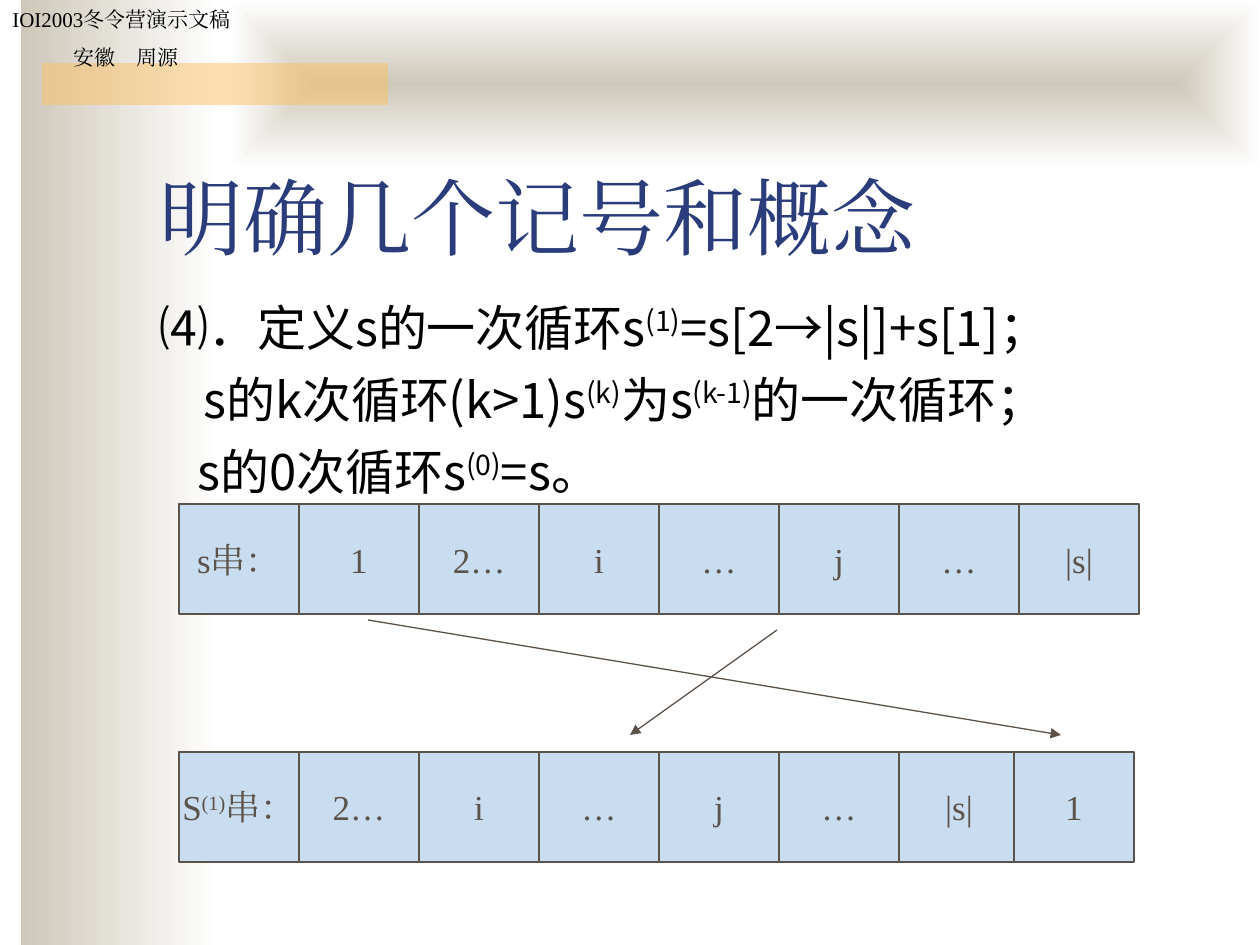
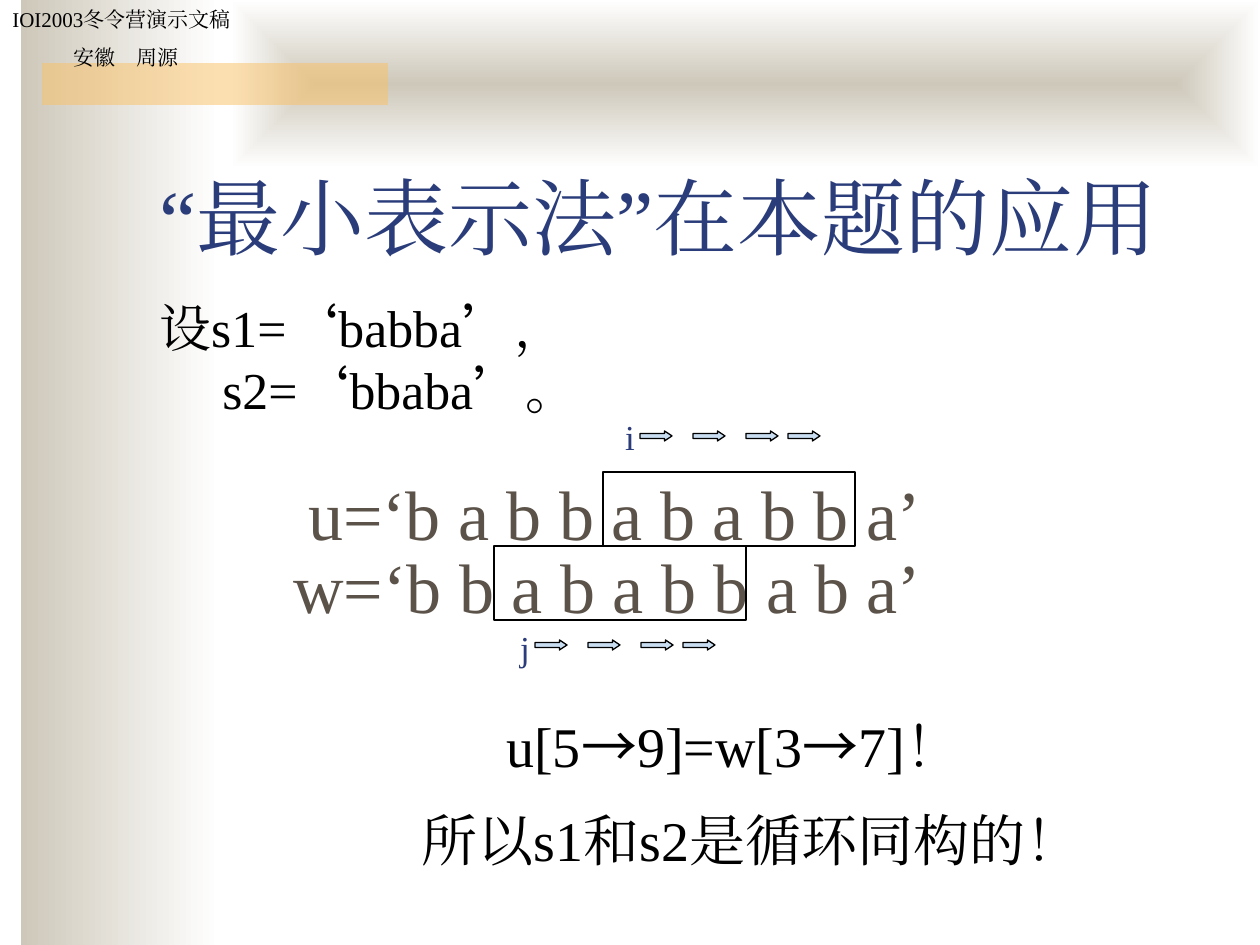
from pptx import Presentation
from pptx import util as u
from pptx.dml.color import RGBColor
from pptx.enum import shapes, text
from pptx.oxml import parse_xml
from pptx.oxml.ns import nsdecls, qn

HEX = {"sand": "CEC8BA", "white": "FFFFFF", "gold": "FAC164", "navy": "2A3D7A",
       "brown": "5B5249", "sky": "C9DDF1", "black": "000000"}
TIMES, NOTO = "Times New Roman", "Noto Sans CJK SC"
LEFT, MID = text.PP_ALIGN.LEFT, text.PP_ALIGN.CENTER
JUST = text.PP_ALIGN.JUSTIFY
TOP, BASE = text.MSO_ANCHOR.TOP, text.MSO_ANCHOR.BOTTOM
RECT, ARROW = shapes.MSO_SHAPE.RECTANGLE, shapes.MSO_SHAPE.RIGHT_ARROW

# Styles: lengths in px, font sizes in points
STYLE = {
    "head": dict(size=12, before=13),
    "title": dict(size=48, color="navy", anchor=BASE, line=102),
    "rules": dict(size=28, font=NOTO, align=JUST, before=12, line=60),
    "given": dict(size=29.6, left=63, first=-63, line=62),
    "word": dict(size=40, color="brown", align=MID, line=88),
    "index": dict(size=20, color="navy", align=MID),
    "match": dict(size=32, line=74),
    "end": dict(size=32, left=63, first=-63, line=66),
    "cell": dict(size=20, color="brown", align=MID),
}

# A paragraph is a list of runs (text, kind), with its own style changes
HEAD = [([("IOI2003冬令营演示文稿", "")], {}),
        ([("安徽\u3000周源", "")], dict(align=MID))]

NOTATION = {
    "title": "明确几个记号和概念",
    "rules": [
        ([("⑷．定义s的一次循环s", ""), ("(1)", "sup"),
          ("=s[2→|s|]+s[1]；", "")], dict(left=63, first=-63)),
        ([("s的k次循环(k>1)s", ""), ("(k)", "sup"), ("为s", ""),
          ("(k-1)", "sup"), ("的一次循环；", "")], dict(left=44)),
        ([("s的0次循环s", ""), ("(0)", "sup"), ("=s。", "")], dict(left=38)),
    ],
    "rows": [
        (504, [("s串：", "")], ["1", "2…", "i", "…", "j", "…", "|s|"]),
        (752, [("S", ""), ("(1)", "sup"), ("串：", "")],
         ["2…", "i", "…", "j", "…", "|s|", "1"]),
    ],
    "moves": [(368, 620, 1061, 735), (777, 630, 630, 735)],
}

USE = {
    "title": "“最小表示法”在本题的应用",
    "given": [("设s1=", ""), ("‘", "cjk"), ("babba", ""), ("’", "cjk"),
              ("，\vs2=", ""), ("‘", "cjk"), ("bbaba", ""), ("’", "cjk"),
              ("。", "")],
    "words": [("u=‘b a b b a b a b b a’", 273, 460),
              ("w=‘b b a b a b b a b a’", 266, 533)],
    "frames": [(603, 472), (494, 546)],
    "index": [("i", 588, 409, 431), ("j", 483, 620, 640)],
    "steps": [52, 105, 158, 200],
    "match": [("u[5", ""), ("→", "cjk"), ("9]=w[3", ""), ("→", "cjk"),
              ("7]！", "")],
    "end": "所以s1和s2是循环同构的！",
}


def px(n):
    return u.Emu(round(n * 914400 / 126))


def rgb(name):
    return RGBColor.from_string(HEX[name])


def write(frame, paras, style):
    """Fill a text frame with paragraphs of runs in a named style."""
    for n, (runs, own) in enumerate(paras):
        fmt = {**STYLE[style], **own}
        para = frame.paragraphs[0] if n == 0 else frame.add_paragraph()
        props = para._p.get_or_add_pPr()
        props.set("marL", str(px(fmt.get("left", 0))))
        props.set("indent", str(px(fmt.get("first", 0))))
        looks = {"alignment": fmt.get("align", LEFT),
                 "space_before": px(fmt.get("before", 0) if n else 0)}
        if "line" in fmt:
            looks["line_spacing"] = u.Pt(round(fmt["line"] * 72 / 126, 1))
        for key, value in looks.items():
            setattr(para, key, value)
        for words, kind in runs:
            for k, piece in enumerate(words.split("\v")):
                if k:
                    para.add_line_break()
                run = para.add_run()
                run.text = piece
                face = NOTO if kind == "cjk" else fmt.get("font", TIMES)
                font = run.font
                font.name, font.size = face, u.Pt(fmt["size"])
                font.color.rgb = rgb(fmt.get("color", "black"))
                latin = font._element.find(qn("a:latin"))
                latin.addnext(parse_xml(
                    f'<a:ea {nsdecls("a")} typeface="{face}"/>'))
                if kind == "sup":
                    font._element.set("baseline", "30000")


def label(slide, box, paras, style):
    """Add a text box; a plain string stands for one run."""
    if isinstance(paras, str):
        paras = [([(paras, "")], {})]
    frame = slide.shapes.add_textbox(*map(px, box)).text_frame
    frame.word_wrap = True
    frame.vertical_anchor = STYLE[style].get("anchor", TOP)
    write(frame, paras, style)


def shape(slide, box, fill=None, line=None, kind=RECT):
    item = slide.shapes.add_shape(kind, *map(px, box))
    item.shadow.inherit = False
    if fill:
        item.fill.solid()
        item.fill.fore_color.rgb = rgb(fill)
    else:
        item.fill.background()
    if line:
        item.line.color.rgb = rgb(line)
        item.line.width = u.Pt(0.75)
    else:
        item.line.fill.background()
    return item


def fade(item):
    """Give a shape a sand to white gradient, running left to right."""
    item.fill.gradient()
    item.fill.gradient_angle = 0
    for stop, name in zip(item.fill.gradient_stops, ("sand", "white")):
        stop.color.rgb = rgb(name)


def start(deck, title):
    """Add a slide with the shared bands, header and title."""
    slide = deck.slides.add_slide(deck.slide_layouts[6])
    fade(shape(slide, (21, 0, 199, 945)))
    band = shape(slide, (231, 0, 1029, 168))
    fade(band)
    lin = band._element.spPr.find(".//" + qn("a:lin"))
    lin.getparent().replace(lin, parse_xml(
        f'<a:path {nsdecls("a")} path="rect"><a:fillToRect l="50000" '
        't="50000" r="50000" b="50000"/></a:path>'))
    bar = shape(slide, (42, 63, 346, 42), "gold")
    tint = bar._element.spPr.find(".//" + qn("a:srgbClr"))
    tint.append(parse_xml(f'<a:alpha {nsdecls("a")} val="50000"/>'))
    label(slide, (0, 0, 252, 77), HEAD, "head")
    label(slide, (147, 116, 1071, 157), title, "title")
    return slide


def cell(slide, x, y, runs):
    frame = shape(slide, (x, y, 120, 110), "sky", "brown").text_frame
    frame.word_wrap = False
    frame.vertical_anchor = text.MSO_ANCHOR.MIDDLE
    write(frame, [(runs, {})], "cell")


def move(slide, ends):
    wire = slide.shapes.add_connector(shapes.MSO_CONNECTOR.STRAIGHT,
                                      *map(px, ends))
    wire.line.color.rgb = rgb("brown")
    wire.line.width = u.Pt(0.75)
    wire.line._get_or_add_ln().append(
        parse_xml(f'<a:tailEnd {nsdecls("a")} type="triangle"/>'))
    wire._element.spPr.append(parse_xml(f'<a:effectLst {nsdecls("a")}/>'))


def notation(deck):
    slide = start(deck, NOTATION["title"])
    label(slide, (147, 290, 1050, 225), NOTATION["rules"], "rules")
    for y, name, marks in NOTATION["rows"]:
        for n, runs in enumerate([name] + [[(m, "")] for m in marks]):
            # The moved "1" sits slightly closer to its neighbour
            shift = 5 if runs == [("1", "")] and n > 1 else 0
            cell(slide, 179 + 120 * n - shift, y, runs)
    for ends in NOTATION["moves"]:
        move(slide, ends)


def use(deck):
    slide = start(deck, USE["title"])
    label(slide, (147, 290, 693, 140), [(USE["given"], {})], "given")
    for words, x, y in USE["words"]:
        label(slide, (x, y, 683, 97), words, "word")
    for mark, x, y, row in USE["index"]:
        label(slide, (x, y, 84, 55), mark, "index")
        for step in USE["steps"]:
            tip = shape(slide, (x + step, row, 32, 10), "sky", "black", ARROW)
            tip.adjustments[1] = 0.75
    label(slide, (494, 699, 494, 78), [(USE["match"], {})], "match")
    for x, y in USE["frames"]:
        shape(slide, (x, y, 252, 74), None, "black")
    label(slide, (409, 801, 672, 140), USE["end"], "end")


def main():
    deck = Presentation()
    deck.slide_width, deck.slide_height = px(1260), px(945)
    notation(deck)
    use(deck)
    deck.save("out.pptx")


if __name__ == "__main__":
    main()
